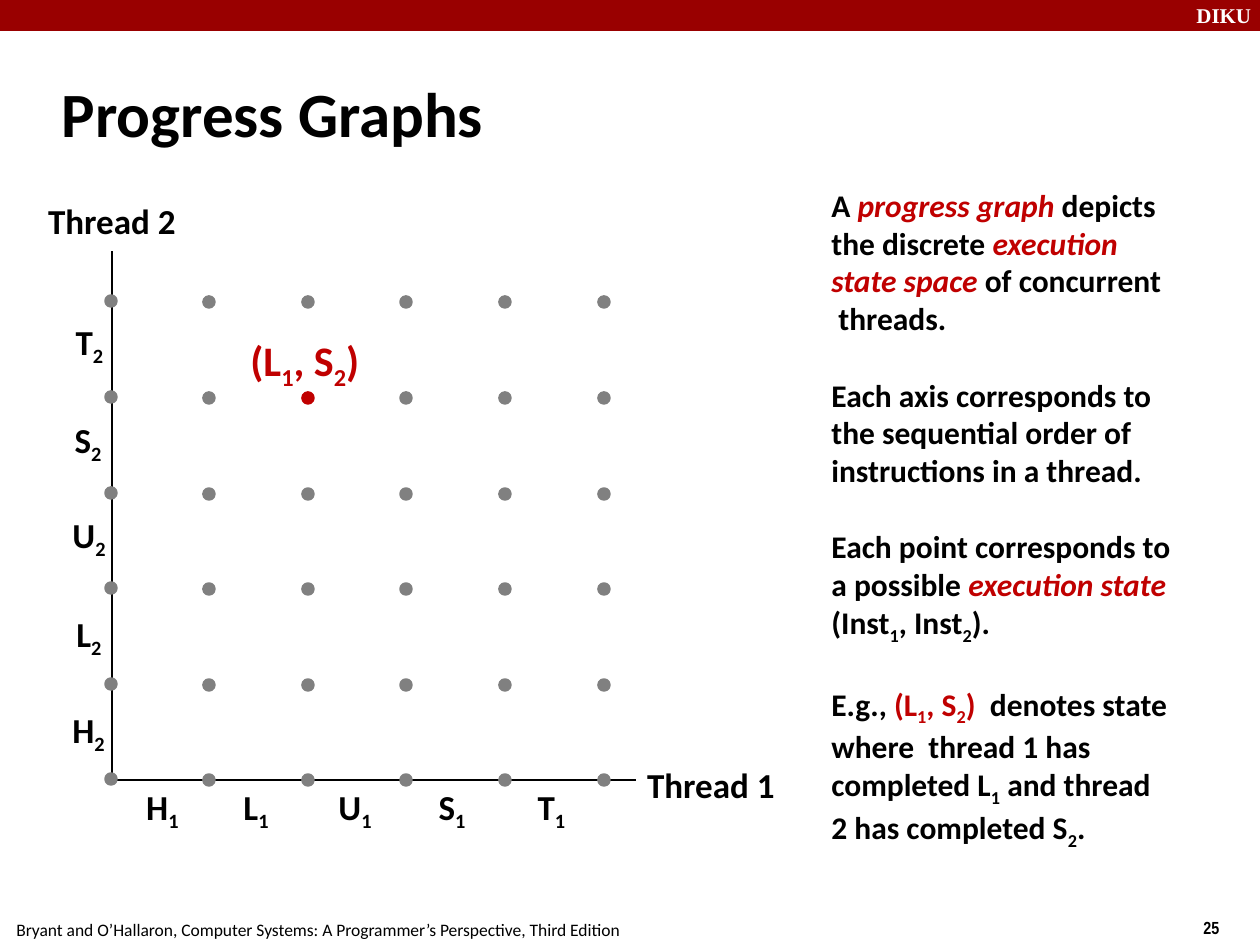
"""Build the Progress Graphs slide: two thread axes, a grid of states and an explanation."""
from dataclasses import dataclass
from typing import Any, NamedTuple

import lxml.etree
import pptx
import pptx.dml.color
import pptx.enum.shapes
import pptx.enum.text
import pptx.oxml.ns
import pptx.util

PIXELS_PER_INCH = 126
BLACK, WHITE, GRAY, RED, BANNER_RED = "000000", "FFFFFF", "808080", "C00000", "990000"
TOP = pptx.enum.text.MSO_ANCHOR.TOP
MIDDLE = pptx.enum.text.MSO_ANCHOR.MIDDLE
LEFT = pptx.enum.text.PP_ALIGN.LEFT
CENTER = pptx.enum.text.PP_ALIGN.CENTER


class Run(NamedTuple):
    """A stretch of text in one format."""
    text: str
    color: str = BLACK
    italic: bool = False
    subscript: bool = False


class Line(NamedTuple):
    """One paragraph and the points of space above it."""
    runs: list[Run]
    space_before: int = 0


class Box(NamedTuple):
    """A rectangle in px."""
    left: int
    top: int
    width: int
    height: int


@dataclass
class Label:
    """A text box with its place and type style."""
    box: Box
    lines: list[Line]
    size: int
    font: str = "Calibri"
    bold: bool = True
    align: Any = LEFT
    anchor: Any = MIDDLE
    wrap: bool = False


class AxisStep(NamedTuple):
    """An instruction name on an axis and its label box."""
    name: str
    index: str
    box: Box


def px(value: int) -> int:
    """Turn px into EMU."""
    return pptx.util.Emu(round(value * 914400 / PIXELS_PER_INCH))


def rgb(value: str) -> pptx.dml.color.RGBColor:
    """Turn a hex string into a colour."""
    return pptx.dml.color.RGBColor.from_string(value)


def indexed(name: str, index: str, color: str = BLACK) -> list[Run]:
    """Give a name followed by its subscript."""
    return [Run(name, color), Run(index, color, subscript=True)]


def set_values(target: Any, values: dict[str, Any]) -> None:
    """Set each named attribute on the target."""
    for name, value in values.items():
        setattr(target, name, value)


def fill_text(shape: Any, label: Label) -> None:
    """Write and format the lines of a label in a shape."""
    frame = shape.text_frame
    set_values(frame, {
        "word_wrap": label.wrap,
        "auto_size": pptx.enum.text.MSO_AUTO_SIZE.NONE,
        "vertical_anchor": label.anchor,
    })
    for number, line in enumerate(label.lines):
        paragraph = frame.add_paragraph() if number else frame.paragraphs[0]
        set_values(paragraph, {
            "alignment": label.align,
            "space_before": pptx.util.Pt(line.space_before),
        })
        for part in line.runs:
            run = paragraph.add_run()
            run.text = part.text
            set_values(run.font, {
                "name": label.font,
                "size": pptx.util.Pt(label.size),
                "bold": label.bold,
                "italic": part.italic,
            })
            run.font.color.rgb = rgb(part.color)
            if part.subscript:
                run.font._element.set("baseline", "-25000")


def add_label(slide: Any, label: Label) -> None:
    """Add a text box."""
    fill_text(slide.shapes.add_textbox(*map(px, label.box)), label)


def add_title(slide: Any, label: Label) -> None:
    """Place and format the title placeholder."""
    title = slide.shapes.title
    set_values(title, dict(zip(("left", "top", "width", "height"), map(px, label.box))))
    fill_text(title, label)
    properties = title.text_frame.paragraphs[0]._p.get_or_add_pPr()
    properties.set("marL", str(px(16)))
    properties.set("indent", str(-px(16)))


def add_filled(slide: Any, kind: Any, box: Box, color: str, line_width: int = 0) -> None:
    """Add a preset shape in one colour."""
    shape = slide.shapes.add_shape(kind, *map(px, box))
    shape.shadow.inherit = False
    shape.fill.solid()
    shape.fill.fore_color.rgb = rgb(color)
    if line_width:
        shape.line.color.rgb = rgb(color)
        shape.line.width = pptx.util.Pt(line_width)
    else:
        shape.line.fill.background()


def add_axis(slide: Any, end_x: int, end_y: int) -> None:
    """Draw an axis from the origin of the graph."""
    axis = slide.shapes.add_connector(
        pptx.enum.shapes.MSO_CONNECTOR.STRAIGHT, *map(px, (112, 780, end_x, end_y)))
    axis.line.color.rgb = rgb(BLACK)
    axis.line.width = pptx.util.Pt(1)
    lxml.etree.SubElement(axis._element.spPr, pptx.oxml.ns.qn("a:effectLst"))


def add_state_grid(slide: Any) -> None:
    """Draw the six by six states, with state (L1, S2) in red."""
    for column in range(6):
        for row in range(6):
            left = 106 + column * 493 // 5
            top = (775 if column else 774) - row * 478 // 5
            color = RED if (column, row) == (2, 4) else GRAY
            add_filled(slide, pptx.enum.shapes.MSO_SHAPE.OVAL,
                       Box(left, top, 10, 10), color, 2)


def state_runs(closing: str) -> list[Run]:
    """Give the red runs that name the state (L1, S2)."""
    return [*indexed("(L", "1", RED), *indexed(", S", "2", RED), Run(closing, RED)]


EXPLANATION = [
    Line([Run("A "), Run("progress graph ", RED, True), Run("depicts")]),
    Line([Run("the discrete "), Run("execution", RED, True)]),
    Line([Run("state space", RED, True), Run(" of concurrent")]),
    Line([Run(" threads.")]),
    Line([Run("Each axis corresponds to")], 22),
    Line([Run("the sequential order of")]),
    Line([Run("instructions in a thread.")]),
    Line([Run("Each point corresponds to")], 22),
    Line([Run("a possible "), Run("execution state", RED, True)]),
    Line([*indexed("(Inst", "1"), *indexed(", Inst", "2"), Run(").")]),
    Line([Run("E.g., "), *state_runs(")  "), Run("denotes state")], 22),
    Line([Run("where  thread 1 has")]),
    Line([*indexed("completed L", "1"), Run(" and thread")]),
    Line([*indexed("2 has completed S", "2"), Run(".")]),
]
STEPS = [
    *(AxisStep(name, "1", Box(left, 779, width, 60)) for name, left, width in (
        ("H", 134, 57), ("L", 231, 50), ("U", 326, 58), ("S", 426, 52), ("T", 525, 53))),
    *(AxisStep(name, "2", Box(left, top, width, 60)) for name, left, top, width in (
        ("H", 60, 702, 57), ("L", 64, 606, 50), ("U", 60, 507, 58),
        ("S", 62, 412, 52), ("T", 63, 314, 53))),
]
FOOTER = "Bryant and O’Hallaron, Computer Systems: A Programmer’s Perspective, Third Edition"
LABELS = [
    Label(Box(1184, -4, 84, 38), [Line([Run("DIKU", WHITE)])], 12, "Times New Roman",
          anchor=TOP, wrap=True),
    Label(Box(1191, 911, 94, 37), [Line([Run("25")])], 10, "Arial Narrow",
          anchor=TOP, wrap=True),
    Label(Box(4, 913, 629, 33), [Line([Run(FOOTER)])], 10, bold=False, anchor=TOP),
    Label(Box(819, 181, 364, 675), EXPLANATION, 18),
    Label(Box(635, 757, 152, 54), [Line([Run("Thread 1")])], 20, align=CENTER),
    Label(Box(36, 193, 152, 54), [Line([Run("Thread 2")])], 20, align=CENTER),
    *(Label(step.box, [Line(indexed(step.name, step.index))], 20, align=CENTER)
      for step in STEPS),
    Label(Box(238, 328, 144, 69), [Line(state_runs(")"))], 24, anchor=TOP, wrap=True),
]


def main() -> None:
    """Build and save the presentation."""
    presentation = pptx.Presentation()
    presentation.slide_width, presentation.slide_height = px(1260), px(945)
    slide = presentation.slides.add_slide(presentation.slide_layouts[5])
    add_title(slide, Label(Box(49, 60, 1046, 105), [Line([Run("Progress Graphs")])], 36,
                           wrap=True))
    add_filled(slide, pptx.enum.shapes.MSO_SHAPE.RECTANGLE, Box(0, 0, 1260, 31), BANNER_RED)
    add_axis(slide, 636, 780)
    add_axis(slide, 112, 251)
    add_state_grid(slide)
    for label in LABELS:
        add_label(slide, label)
    presentation.save("out.pptx")


if __name__ == "__main__":
    main()
